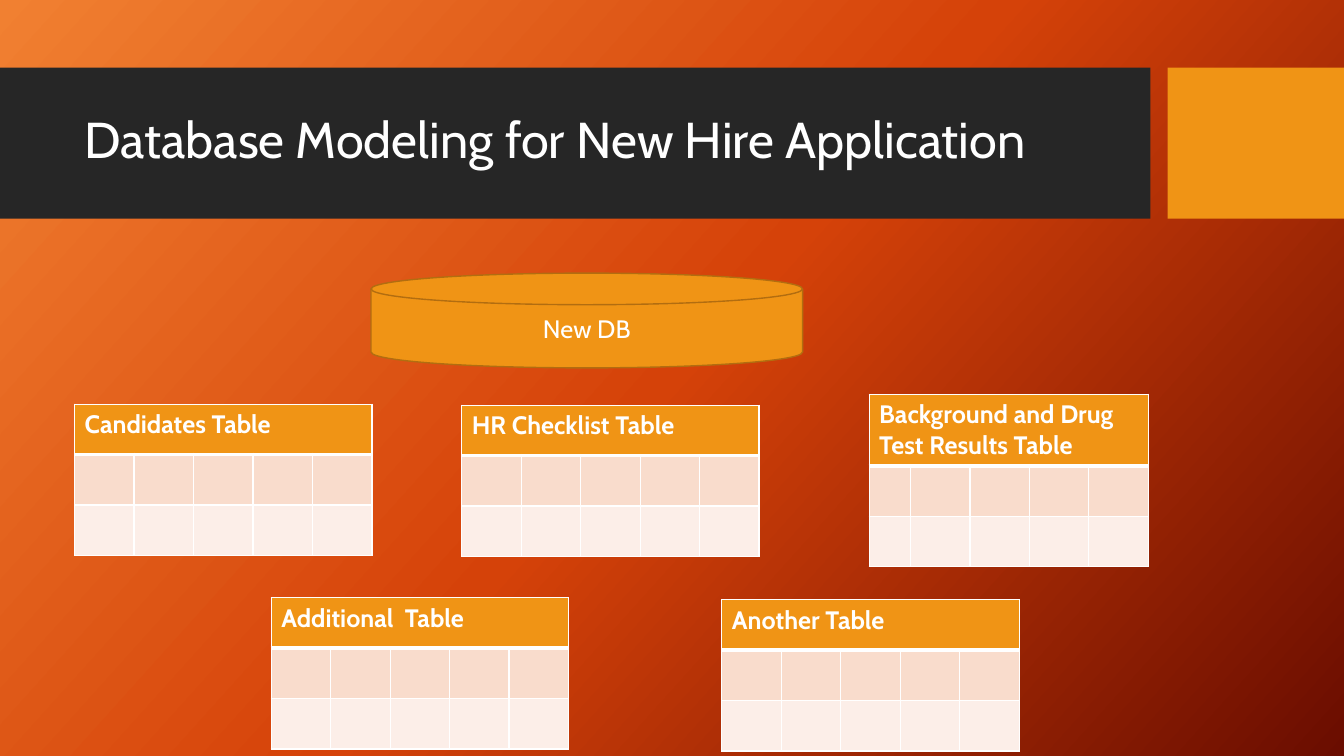
from copy import deepcopy

from lxml import etree
from pptx import Presentation
from pptx import util as u
from pptx.dml.color import RGBColor
from pptx.enum import shapes, text
from pptx.oxml import ns

PX = 9144  # 100 px to the inch
FONT = "Cabin"
COLORS = {
    "glow": "F18031",
    "flame": "D54209",
    "ember": "6A0D00",
    "band": "262626",
    "accent": "F09415",
    "disk_line": "B26D10",
    "row_dark": "F9DCCC",
    "row_light": "FCEEE8",
    "white": "FFFFFF",
}
ROW_HEIGHT = 50
COLUMN_WIDTH = 59

# Text, left, top, first column width, header height
TABLES = [
    ("Candidates Table", 74, 401, COLUMN_WIDTH, ROW_HEIGHT),
    ("HR Checklist Table", 458, 402, COLUMN_WIDTH, ROW_HEIGHT),
    ("Background and Drug Test Results Table", 862, 391, 41, 70),
    ("Additional  Table", 269, 593, COLUMN_WIDTH, ROW_HEIGHT),
    ("Another Table", 716, 595, COLUMN_WIDTH, ROW_HEIGHT),
]


def color(name):
    return RGBColor.from_string(COLORS[name])


def box(*lengths):
    return [length * PX for length in lengths]


def write(frame, words, size=18, bold=False, align=text.PP_ALIGN.LEFT,
          anchor=text.MSO_ANCHOR.MIDDLE, spacing=1.0):
    frame.word_wrap = True
    frame.vertical_anchor = anchor
    paragraph = frame.paragraphs[0]
    paragraph.alignment = align
    paragraph.line_spacing = spacing
    run = paragraph.add_run()
    run.text = words
    run.font.name = FONT
    run.font.size = u.Pt(size)
    run.font.bold = bold
    run.font.color.rgb = color("white")


def paint_background(slide):
    fill = slide.background.fill
    fill.gradient()
    stop_list = slide.element.find(".//" + ns.qn("a:gsLst"))
    stop_list.append(deepcopy(stop_list[0]))
    names = ("glow", "flame", "ember")
    for index, (stop, name) in enumerate(zip(fill.gradient_stops, names)):
        stop.position = index / 2
        stop.color.rgb = color(name)
    fill.gradient_angle = 360 - 42


def add_block(slide, kind, left, top, width, height, fill, line=None):
    shape = slide.shapes.add_shape(kind, *box(left, top, width, height))
    shape.shadow.inherit = False
    shape.fill.solid()
    shape.fill.fore_color.rgb = color(fill)
    if line:
        shape.line.color.rgb = color(line)
        shape.line.width = u.Pt(1)
    else:
        shape.line.fill.background()
    return shape


def set_borders(cell, **widths):
    properties = cell._tc.get_or_add_tcPr()
    for side in "LRTB":
        line = etree.SubElement(properties, ns.qn(f"a:ln{side}"),
                                w=str(u.Pt(widths.get(side, 1))))
        fill = etree.SubElement(line, ns.qn("a:solidFill"))
        etree.SubElement(fill, ns.qn("a:srgbClr"), val=COLORS["white"])


def add_entity_table(slide, name, left, top, first_width, header_height):
    widths = [first_width] + [COLUMN_WIDTH] * 4
    heights = [header_height, ROW_HEIGHT, ROW_HEIGHT]
    table = slide.shapes.add_table(
        len(heights), len(widths),
        *box(left, top, sum(widths), sum(heights))).table
    for column, width in zip(table.columns, widths):
        column.width = width * PX

    # The rule under the header is shared by the first two rows
    fills = ("accent", "row_dark", "row_light")
    rules = ({"B": 3}, {"T": 3}, {})
    for row, height, fill, rule in zip(table.rows, heights, fills, rules):
        row.height = height * PX
        for cell in row.cells:
            set_borders(cell, **rule)
            cell.fill.solid()
            cell.fill.fore_color.rgb = color(fill)

    header = table.cell(0, 0)
    header.merge(table.cell(0, len(widths) - 1))
    write(header.text_frame, name, bold=True, anchor=text.MSO_ANCHOR.TOP)


def main():
    presentation = Presentation()
    presentation.slide_width, presentation.slide_height = box(1333, 750)
    slide = presentation.slides.add_slide(presentation.slide_layouts[5])
    paint_background(slide)

    # Title band
    rectangle = shapes.MSO_SHAPE.RECTANGLE
    band = add_block(slide, rectangle, 0, 67, 1141, 150, "band")
    add_block(slide, rectangle, 1158, 67, 175, 150, "accent")
    title = slide.shapes.title
    title.left, title.top, title.width, title.height = box(74, 82, 1051, 118)
    write(title.text_frame, "Database Modeling for New Hire Application",
          size=36, spacing=0.9)
    title.text_frame.auto_size = text.MSO_AUTO_SIZE.NONE
    # Bring the title in front of the band
    slide.shapes.element.append(title.element)

    # Database
    disk = add_block(slide, shapes.MSO_SHAPE.FLOWCHART_MAGNETIC_DISK,
                     368, 271, 428, 94, "accent", line="disk_line")
    write(disk.text_frame, "New DB", align=text.PP_ALIGN.CENTER)

    # Tables
    for entry in TABLES:
        add_entity_table(slide, *entry)

    presentation.save("out.pptx")


if __name__ == "__main__":
    main()
